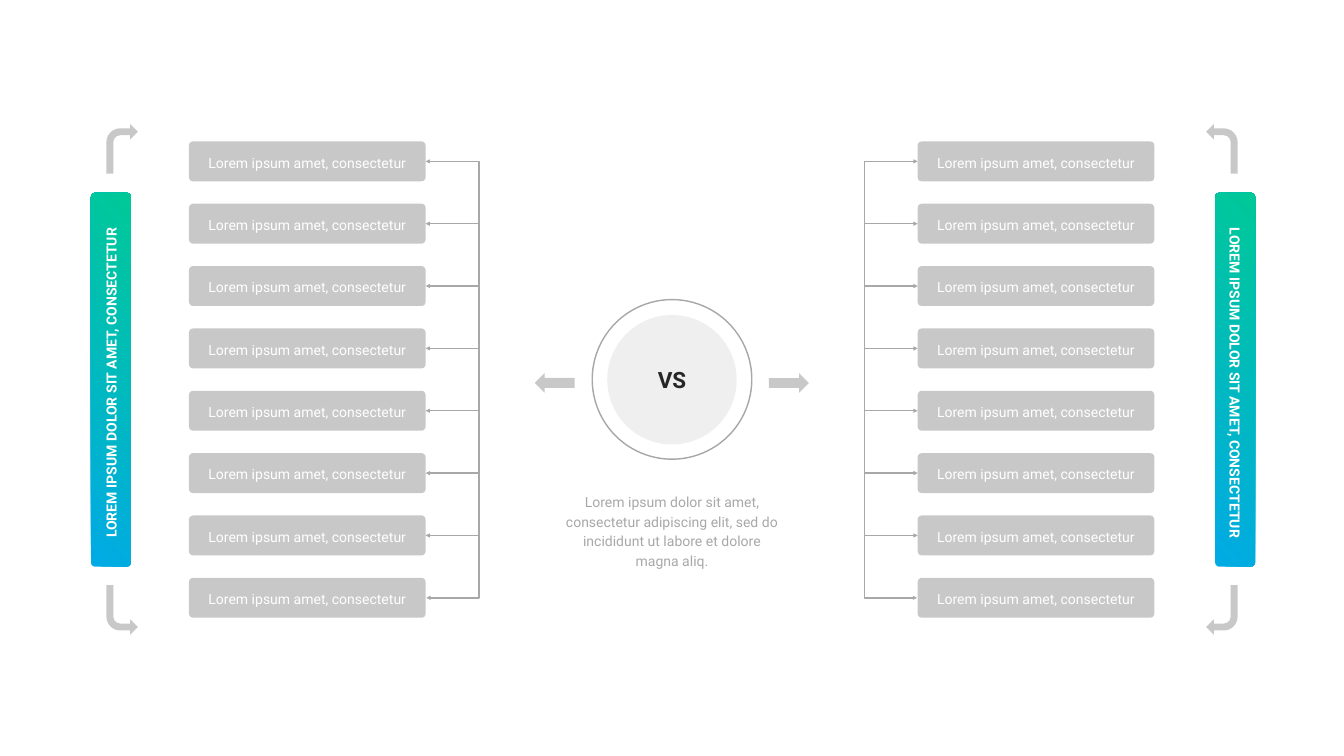
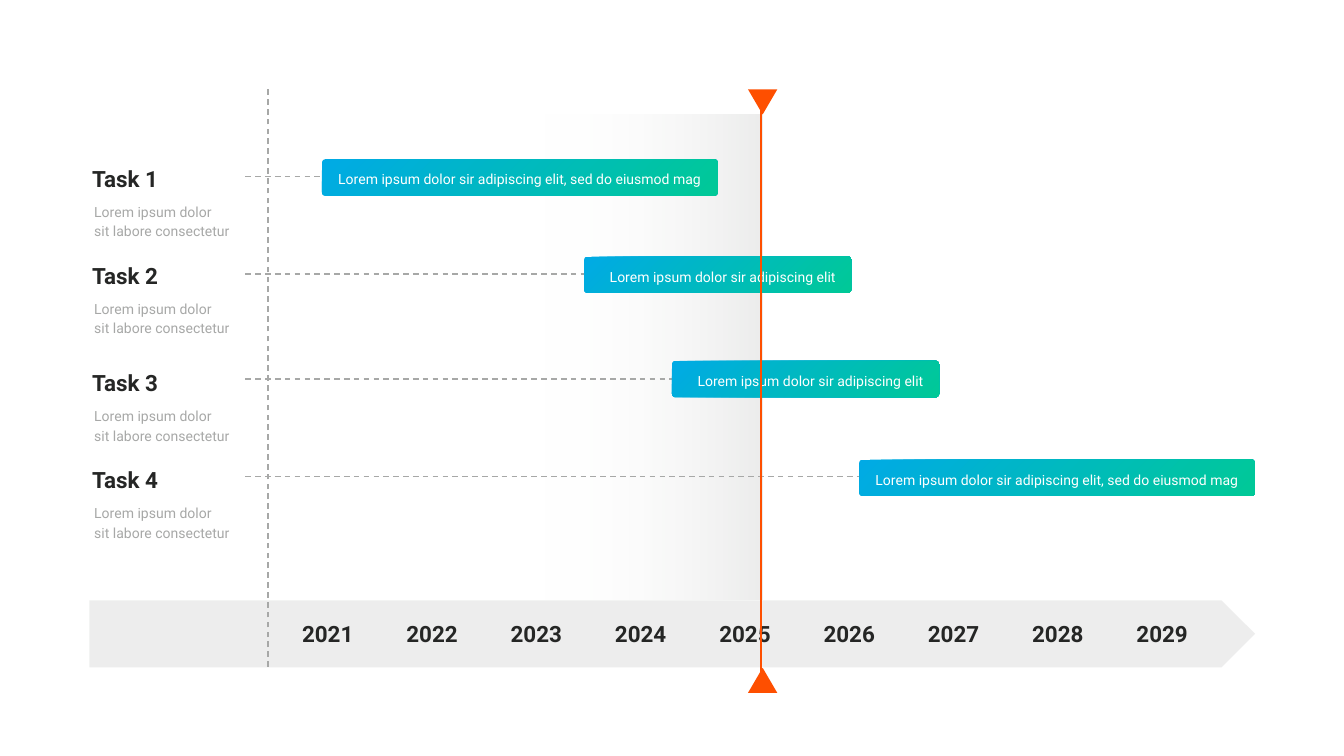
"""Build a two-slide deck: a versus comparison and a task timeline."""
from lxml import etree
from pptx import Presentation
from pptx import util as u
from pptx.dml.color import RGBColor
from pptx.enum import dml, shapes, text
from pptx.oxml.ns import qn

Pt = u.Pt
MSO = shapes.MSO_SHAPE
FONT = "Roboto"
WHITE, SILVER, GREY, INK, ORANGE = "FEFFFE", "C7C8C7", "A7A8A7", "252625", "FE4F00"
BRAND = ("00AAE5", "00C997")
CENTER, LEFT = text.PP_ALIGN.CENTER, text.PP_ALIGN.LEFT


def add_box(s, kind, x, y, w, h, colour, rot=0, adj=(), alphas=(), angle=315,
            label="", size=20, bold=False, align=CENTER):
    """Add a filled shape, or a text box when kind is None."""
    frame = Pt(x), Pt(y), Pt(w), Pt(h)
    if kind is None:
        sp = s.shapes.add_textbox(*frame)
        tf = sp.text_frame
        tf.word_wrap = True
        tf.auto_size = text.MSO_AUTO_SIZE.SHAPE_TO_FIT_TEXT
        tf.text = label
        p = tf.paragraphs[0]
        p.alignment = align
        if bold:
            tf.vertical_anchor = text.MSO_ANCHOR.MIDDLE
            tf.margin_left = tf.margin_right = tf.margin_top = tf.margin_bottom = Pt(4)
        else:
            p.line_spacing = Pt(28)
        font = p.runs[0].font
        font.name, font.size, font.bold = FONT, Pt(size), bold
        font.color.rgb = RGBColor.from_string(colour)
    else:
        sp = s.shapes.add_shape(kind, *frame)
        sp.shadow.inherit = False
        sp.line.fill.background()
        for i, value in enumerate(adj):
            sp.adjustments[i] = value
        if colour is None:
            sp.fill.background()
        elif isinstance(colour, tuple):
            sp.fill.gradient()
            sp.fill.gradient_angle = angle
            for stop, tone in zip(sp.fill.gradient_stops, colour):
                stop.color.rgb = RGBColor.from_string(tone)
        else:
            sp.fill.solid()
            sp.fill.fore_color.rgb = RGBColor.from_string(colour)
        for clr, alpha in zip(sp._element.spPr.iter(qn("a:srgbClr")), alphas):
            etree.SubElement(clr, qn("a:alpha"), val=str(alpha * 1000))
    sp.rotation = rot
    return sp


def add_line(s, x1, y1, x2, y2, colour=GREY, dashed=False, ends=(),
             kind=shapes.MSO_CONNECTOR.STRAIGHT):
    """Add a 2 pt connector with triangles at the named ends."""
    c = s.shapes.add_connector(kind, Pt(x1), Pt(y1), Pt(x2), Pt(y2))
    c.line.color.rgb = RGBColor.from_string(colour)
    c.line.width = Pt(2)
    if dashed:
        c.line.dash_style = dml.MSO_LINE.DASH
    for end in ends:
        etree.SubElement(c.line._get_or_add_ln(), qn(f"a:{end}"), type="triangle")
    etree.SubElement(c._element.spPr, qn("a:effectLst"))
    return c


prs = Presentation()
prs.slide_width, prs.slide_height = Pt(1920), Pt(1080)

s = prs.slides.add_slide(prs.slide_layouts[6])
add_box(s, None, 798.5, 697.5, 323, 118, GREY,
        label="Lorem ipsum dolor sit amet, consectetur adipiscing elit, "
              "sed do incididunt ut labore et dolore magna aliq.")
add_box(s, MSO.OVAL, 867.5, 450, 185, 185, SILVER, alphas=(28,))
ring = add_box(s, MSO.OVAL, 846, 428, 228, 228, None)
ring.line.color.rgb = RGBColor.from_string(GREY)
ring.line.width = Pt(2)
add_box(s, None, 920, 518.5, 80, 47, INK, label="VS", size=32, bold=True)
add_box(s, MSO.DOWN_ARROW, 778.5, 518.5, 28, 57, SILVER, rot=90)
add_box(s, MSO.DOWN_ARROW, 1113, 518.5, 28, 57, SILVER, rot=270)

ITEMS, ITEM_W, ITEM_H, ITEM_TOP, ITEM_STEP = 8, 338, 57, 202, 89.07
sides = [
    (270, 608, 1, 3, 158.5, 270, 152, (0, 0), (False, True)),
    (1311, 1311, -1, 1, 1764.5, 90, 1723, (180, 180), (True, False)),
]
for left, edge, way, site, mid, label_rot, bend_x, bend_rots, flips in sides:
    add_box(s, MSO.ROUNDED_RECTANGLE, mid - 267, 514, 534, 57, BRAND, 270, (0.1,))
    add_box(s, None, mid - 238.5, 531, 477, 32, WHITE, label_rot,
            label="LOREM IPSUM DOLOR SIT AMET, CONSECTETUR", bold=True)
    for y, rot, flip in zip((177, 836), bend_rots, flips):
        bend = add_box(s, MSO.BENT_ARROW, bend_x, y, 45, 71, SILVER, rot,
                       (0.219, 0.25, 0.25, 0.438))
        if flip:
            bend._element.spPr.find(qn("a:xfrm")).set("flipV", "1")
    first = ITEM_TOP + ITEM_H / 2
    last = first + (ITEMS - 1) * ITEM_STEP
    bracket = add_line(s, edge, first, edge + way, last, ends=("headEnd", "tailEnd"),
                       kind=shapes.MSO_CONNECTOR.ELBOW)
    geom = bracket._element.spPr.find(qn("a:prstGeom"))
    guides = geom.find(qn("a:avLst"))
    if guides is None:
        guides = etree.SubElement(geom, qn("a:avLst"))
    etree.SubElement(guides, qn("a:gd"), name="adj1", fmla="val 7700000")
    for i in range(ITEMS):
        y = ITEM_TOP + i * ITEM_STEP
        item = add_box(s, MSO.ROUNDED_RECTANGLE, left, y, ITEM_W, ITEM_H, SILVER, adj=(0.1,))
        add_box(s, None, left + 7.5, y + 10.5, 323, 34, WHITE,
                label="Lorem ipsum amet, consectetur")
        if 0 < i < ITEMS - 1:
            middle = y + ITEM_H / 2
            branch = add_line(s, edge + 77 * way, middle, edge, middle, ends=("tailEnd",))
            branch.end_connect(item, site)

s = prs.slides.add_slide(prs.slide_layouts[6])
add_box(s, MSO.RECTANGLE, 774, 163.5, 315.5, 693.5, (SILVER, WHITE),
        alphas=(34, 0), angle=180)
add_box(s, MSO.PENTAGON, 127.5, 857.5, 1665.5, 96, SILVER, alphas=(31,))
add_line(s, 383, 952.5, 383, 127.5, dashed=True)

SHORT = "Lorem ipsum dolor sir adipiscing elit"
LONG = SHORT + ", sed do eiusmod mag"
tasks = [
    (231, 252.5, 849, 460, 227.5, 565, 14, 537, LONG),
    (370, 391.5, 1052, 834.5, 366.5, 381.5, 14.5, 367, SHORT),
    (523, 541.5, 1280, 960, 515.5, 381.5, 14.5, 367, SHORT),
    (662, 680.5, 1793, 1227.5, 656.5, 565, 14, 537, LONG),
]
for n, (top, line_y, line_end, x, y, w, indent, label_w, label) in enumerate(tasks, 1):
    add_box(s, None, 127.5, top, 208, 47, INK, label=f"Task {n}", size=32,
            bold=True, align=LEFT)
    add_box(s, None, 127.5, top + 51.5, 208, 62, GREY, align=LEFT,
            label="Lorem ipsum dolor sit labore consectetur")
    add_line(s, 350.5, line_y, line_end, line_y, dashed=True)
    add_box(s, MSO.ROUNDED_RECTANGLE, x, y, w, 52, BRAND, adj=(0.09,))
    add_box(s, None, x + indent, y + 9, label_w, 34, WHITE, label=label)

for i in range(9):
    add_box(s, None, 383 + i * 149, 881.5, 170.5, 47, INK, label=str(2021 + i),
            size=32, bold=True)

for y, rot in ((954, 0), (127.5, 180)):
    add_box(s, MSO.ISOSCELES_TRIANGLE, 1068.5, y, 42, 36, ORANGE, rot)
add_line(s, 1087, 142.5, 1087, 985.5, ORANGE)

prs.save("out.pptx")
